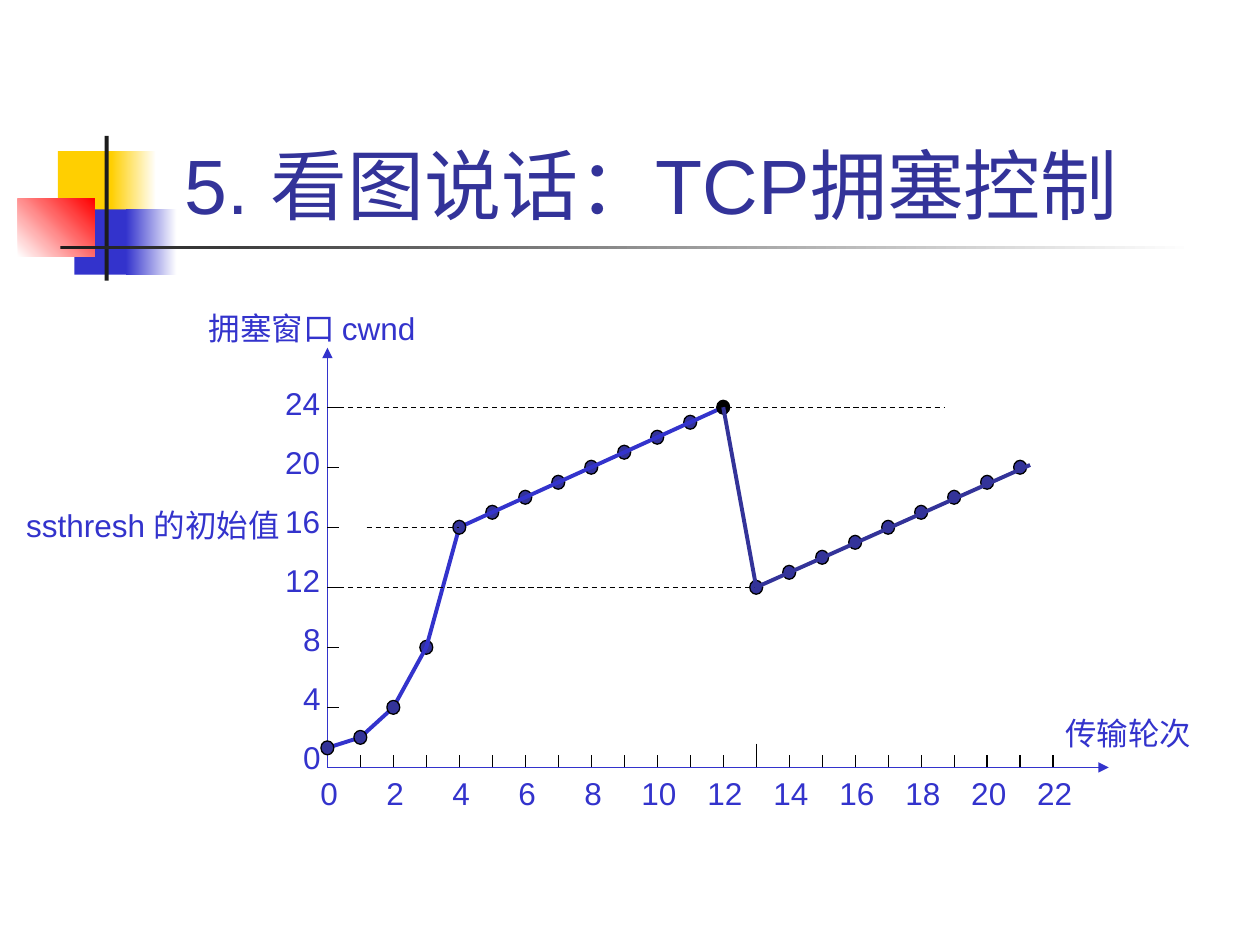
from lxml import etree
from pptx import Presentation, util as u
from pptx.dml.color import RGBColor
from pptx.enum import dml, shapes, text
from pptx.oxml.ns import qn

BLUE, NAVY, BLACK, WHITE = "3333CC", "333399", "000000", "FFFFFF"
X0, Y0 = 6.6, 15.47
DX, DY = 14.63 / 22, 7.26 / 24
CWND = [1.3, 2, 4, 8, *range(16, 25), *range(12, 21)]
MARKS_OVER_CURVE = (0, 1, 2, 4, 12)


def rgb(value):
    return RGBColor.from_string(value)


def px(rnd):
    return X0 + DX * rnd


def py(window):
    return Y0 - DY * window


def add_shape(s, kind, x, y, w, h, fill, fade=None, angle=0, line=None):
    sp = s.shapes.add_shape(kind, u.Cm(x), u.Cm(y), u.Cm(w), u.Cm(h))
    sp.shadow.inherit = False
    if fade:
        sp.fill.gradient()
        sp.fill.gradient_angle = angle
        for stop, color, pos in zip(sp.fill.gradient_stops, (fill, fade), (0, 1)):
            stop.color.rgb = rgb(color)
            stop.position = pos
    else:
        sp.fill.solid()
        sp.fill.fore_color.rgb = rgb(fill)
    if line:
        sp.line.color.rgb = rgb(line)
        sp.line.width = u.Pt(0.75)
    else:
        sp.line.fill.background()


def add_line(s, x1, y1, x2, y2, color=BLACK, dashed=False, arrow=False):
    c = s.shapes.add_connector(shapes.MSO_CONNECTOR.STRAIGHT,
                               u.Cm(x1), u.Cm(y1), u.Cm(x2), u.Cm(y2))
    c.line.color.rgb = rgb(color)
    c.line.width = u.Pt(0.75)
    if dashed:
        c.line.dash_style = dml.MSO_LINE.DASH
    if arrow:
        etree.SubElement(c.line._get_or_add_ln(), qn("a:tailEnd"), type="triangle")
    etree.SubElement(c._element.spPr, qn("a:effectLst"))


def add_curve(s, points, color):
    pts = [(u.Cm(px(n)), u.Cm(py(v))) for n, v in points]
    fb = s.shapes.build_freeform(*pts[0])
    fb.add_line_segments(pts[1:], close=False)
    sp = fb.convert_to_shape()
    sp.shadow.inherit = False
    sp.fill.background()
    sp.line.color.rgb = rgb(color)
    sp.line.width = u.Pt(2.25)


def add_text(s, x, y, w, h, words, size=18, color=BLUE, centred=False, title=False):
    tf = s.shapes.add_textbox(u.Cm(x), u.Cm(y), u.Cm(w), u.Cm(h)).text_frame
    tf.word_wrap = title
    if title:
        tf.vertical_anchor = text.MSO_ANCHOR.BOTTOM
    else:
        tf.auto_size = text.MSO_AUTO_SIZE.SHAPE_TO_FIT_TEXT
    p = tf.paragraphs[0]
    p.alignment = text.PP_ALIGN.CENTER if centred else text.PP_ALIGN.LEFT
    r = p.add_run()
    r.text = words
    r.font.name = "Arial"
    r.font.size = u.Pt(size)
    r.font.color.rgb = rgb(color)


def add_number(s, value, y, centre=None, right=None):
    w = 0.86 if value < 10 else 1.22
    x = right - w if centre is None else centre - w / 2
    add_text(s, x, y, w, 1.02, str(value))


def add_ornament(s):
    rect = shapes.MSO_SHAPE.RECTANGLE
    add_shape(s, rect, 1.17, 3.05, 1.22, 1.32, "FFCF01")
    add_shape(s, rect, 2.24, 3.05, 0.91, 1.32, "FFCF01", WHITE)
    add_shape(s, rect, 1.5, 4.22, 1.17, 1.32, BLUE)
    add_shape(s, rect, 2.54, 4.22, 1.02, 1.32, BLUE, WHITE)
    add_shape(s, rect, 0.36, 4.01, 1.55, 1.17, WHITE, "FF0000", angle=45)
    add_shape(s, rect, 2.11, 2.74, 0.08, 2.92, "1C1C1C")
    add_shape(s, rect, 1.22, 4.95, 22.86, 0.08, "1C1C1C", WHITE)


def add_marks(s, rounds):
    for n in rounds:
        add_shape(s, shapes.MSO_SHAPE.OVAL, px(n) - 0.13, py(CWND[n]) - 0.14,
                  0.26, 0.28, BLACK if n == 12 else NAVY, line=BLACK)


def add_axes(s):
    add_line(s, X0, Y0, 22.35, Y0, BLUE, arrow=True)
    add_line(s, X0, Y0, X0, 7.01, BLUE, arrow=True)
    for n in range(1, 23):
        add_line(s, px(n), Y0 - (0.48 if n == 13 else 0.25), px(n), Y0)
    for v in range(4, 25, 4):
        add_line(s, X0, py(v), X0 + 0.23, py(v))
    for n in range(0, 23, 2):
        add_number(s, n, Y0, centre=px(n) + 0.04)
    for i in range(7):
        add_number(s, 4 * i, 14.76 - 1.19 * i, right=6.72)


def main():
    prs = Presentation()
    prs.slide_width, prs.slide_height = u.Cm(25.4), u.Cm(19.05)
    s = prs.slides.add_slide(prs.slide_layouts[6])
    add_ornament(s)
    add_text(s, 2.49, 0.71, 21.64, 4.06, "5. 看图说话：TCP拥塞控制 ",
             44, NAVY, centred=True, title=True)
    add_marks(s, [n for n in range(len(CWND)) if n not in MARKS_OVER_CURVE])
    add_curve(s, list(enumerate(CWND))[:5] + [(12, 24)], BLUE)
    add_axes(s)
    add_marks(s, MARKS_OVER_CURVE)
    for start, end, v in ((6.83, 19.03, 24), (7.39, px(4), 16), (6.83, px(13), 12)):
        add_line(s, start, py(v), end, py(v), dashed=True)
    add_curve(s, [(12, 24), (13, 12), (21.3, 20.15)], NAVY)
    add_text(s, 21.23, 14.27, 3.05, 1.02, "传输轮次")
    add_text(s, 3.96, 6.1, 4.83, 1.02, "拥塞窗口 cwnd")
    add_text(s, 0.2, 10.08, 5.77, 1.02, "ssthresh 的初始值", centred=True)
    prs.save("out.pptx")


if __name__ == "__main__":
    main()
